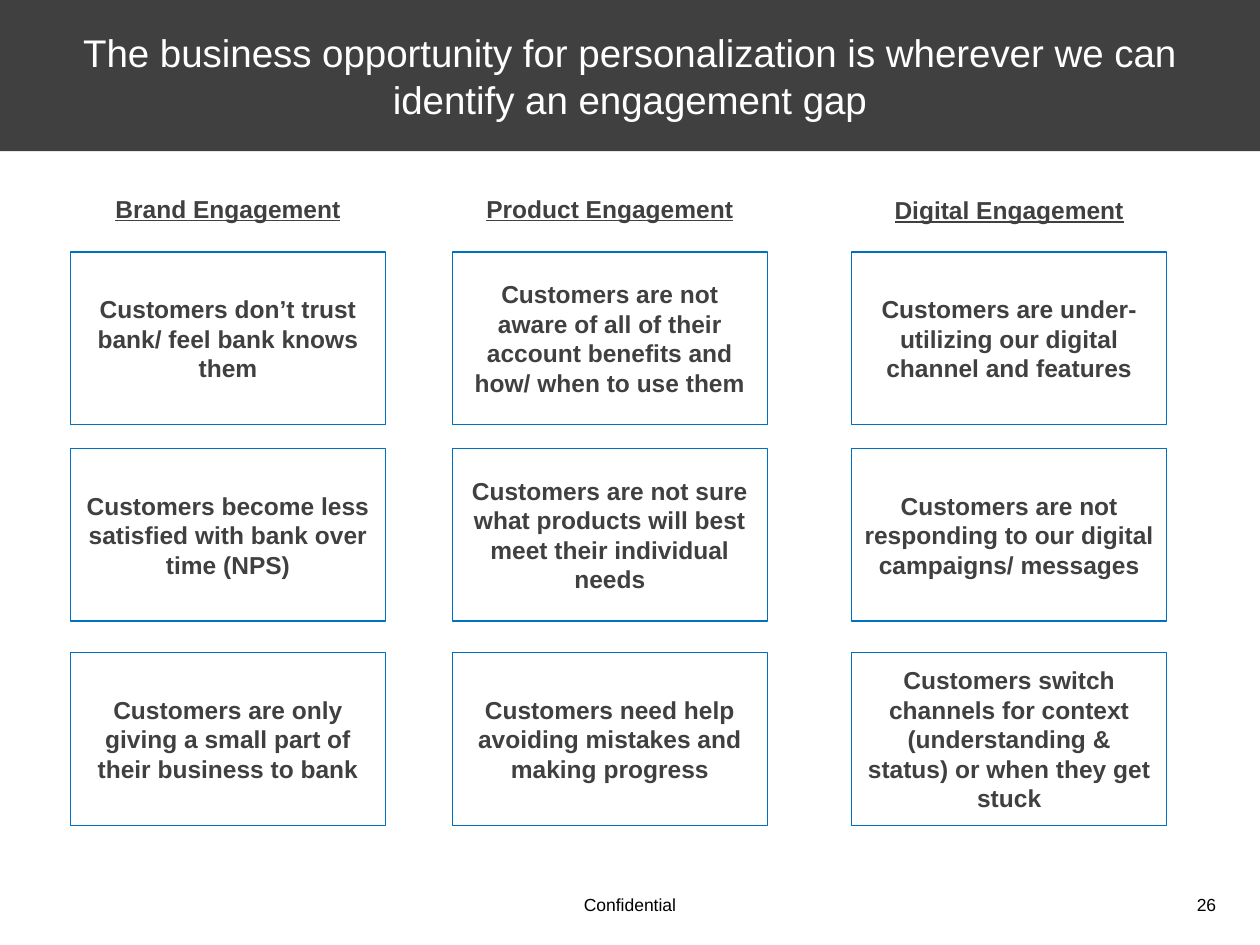
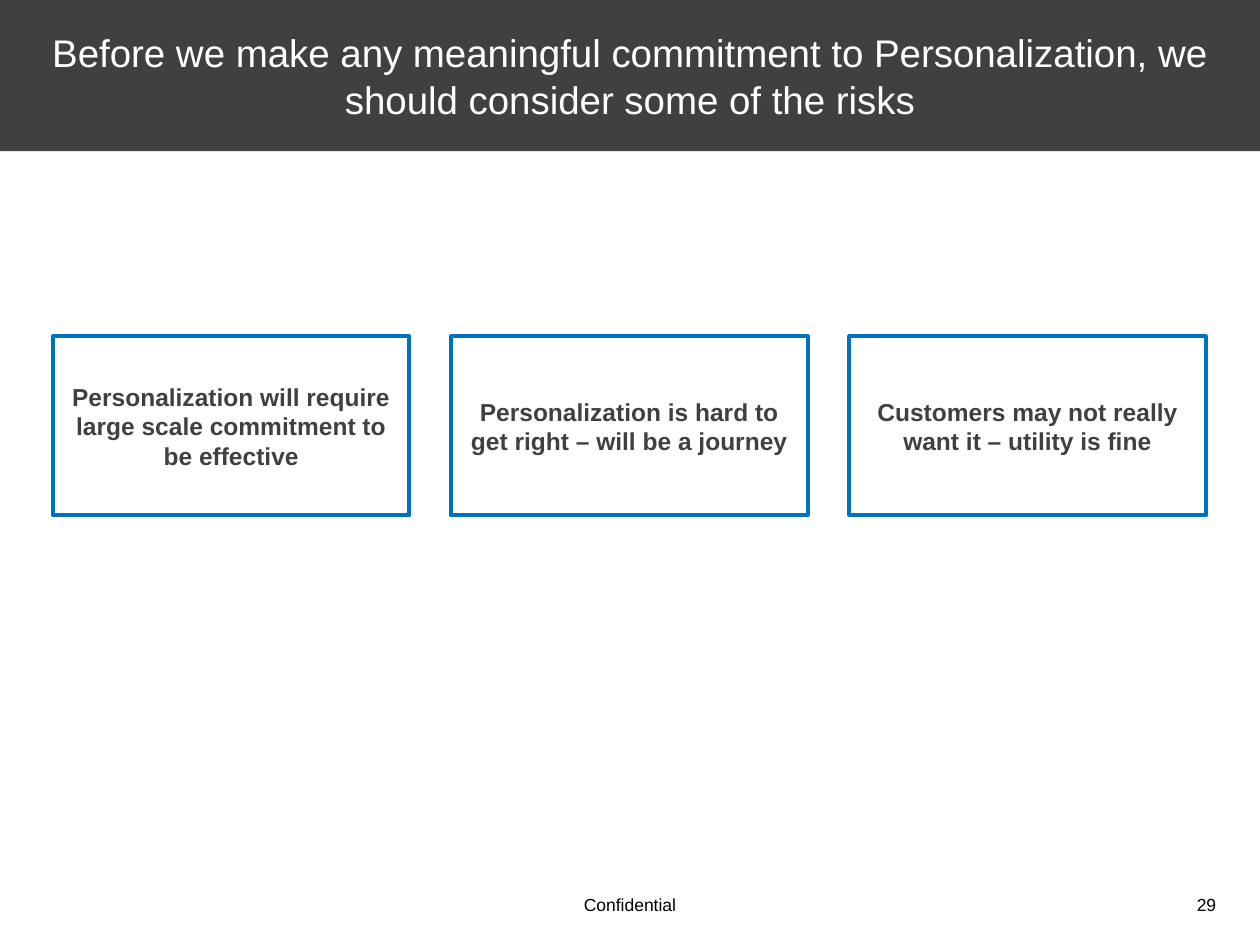
from pptx import Presentation
from pptx.dml.color import RGBColor
from pptx.enum.shapes import MSO_SHAPE
from pptx.enum.text import MSO_ANCHOR, PP_ALIGN
from pptx.util import Pt

PX = 9144
FONT = "Arial"
CHARCOAL = RGBColor(0x40, 0x40, 0x40)
BLUE = RGBColor(0x00, 0x70, 0xC0)
WHITE = RGBColor(0xFF, 0xFF, 0xFF)
BLACK = RGBColor(0x00, 0x00, 0x00)

RISK_WIDTH = 283
RISK_PITCH = 316

gap_columns = [
    (56, 144, "Brand Engagement", [
        "Customers don’t trust bank/ feel bank knows them",
        "Customers become less satisfied with bank over time (NPS)",
        "Customers are only giving a small part of their business to bank",
    ]),
    (359, 144, "Product Engagement", [
        "Customers are not aware of all of their account benefits and how/ when to use them",
        "Customers are not sure what products will best meet their individual needs",
        "Customers need help avoiding mistakes and making progress",
    ]),
    (676, 145, "Digital Engagement", [
        "Customers are under-utilizing our digital channel and features",
        "Customers are not responding to our digital campaigns/ messages",
        "Customers switch channels for context (understanding & status) or when they get stuck",
    ]),
]
gap_row_tops = [200, 356, 518]

risks = [
    "Personalization will require large scale commitment to be effective",
    "Personalization is hard to get right – will be a journey",
    "Customers may not really want it – utility is fine",
]

slide_heads = [
    ("The business opportunity for personalization is wherever we can identify an engagement gap", "26"),
    ("Before we make any meaningful commitment to Personalization, we should consider some of the risks", "29"),
]


def write_text(shape, text, size, color, alignment=PP_ALIGN.CENTER, bold=False):
    shape.text_frame.word_wrap = True
    paragraph = shape.text_frame.paragraphs[0]
    paragraph.alignment = alignment
    run = paragraph.add_run()
    run.text = text
    run.font.name = FONT
    run.font.size = Pt(size)
    run.font.bold = bold
    run.font.color.rgb = color
    return paragraph


def add_card(slide, left, top, width, height, text, line_width):
    card = slide.shapes.add_shape(
        MSO_SHAPE.RECTANGLE, left * PX, top * PX, width * PX, height * PX)
    card.shadow.inherit = False
    card.fill.background()
    card.line.color.rgb = BLUE
    card.line.width = Pt(line_width)
    card.text_frame.vertical_anchor = MSO_ANCHOR.MIDDLE
    write_text(card, text, 14, CHARCOAL, bold=True)


presentation = Presentation()
presentation.slide_width = 1000 * PX
presentation.slide_height = 750 * PX

slides = []
for title_text, page_number in slide_heads:
    slide = presentation.slides.add_slide(presentation.slide_layouts[5])
    title = slide.shapes.title
    title.left, title.top, title.width, title.height = 0, 0, 1000 * PX, 120 * PX
    title.fill.solid()
    title.fill.fore_color.rgb = CHARCOAL
    frame = title.text_frame
    frame.vertical_anchor = MSO_ANCHOR.MIDDLE
    frame.margin_left = frame.margin_right = 15 * PX
    frame.margin_top = frame.margin_bottom = 10 * PX
    write_text(title, title_text, 22, WHITE)

    for left, width, text, alignment in [
        (200, 600, "Confidential", PP_ALIGN.CENTER),
        (930, 45, page_number, PP_ALIGN.RIGHT),
    ]:
        footer = slide.shapes.add_textbox(left * PX, 705 * PX, width * PX, 27 * PX)
        write_text(footer, text, 10, BLACK, alignment)
    slides.append(slide)

gap_slide, risk_slide = slides

for left, heading_top, heading_text, gaps in gap_columns:
    heading = gap_slide.shapes.add_textbox(left * PX, heading_top * PX, 250 * PX, 38 * PX)
    paragraph = write_text(heading, heading_text, 14, CHARCOAL, bold=True)
    paragraph.line_spacing = 1.2
    paragraph.runs[0].font.underline = True
    for top, gap in zip(gap_row_tops, gaps):
        add_card(gap_slide, left, top, 250, 137, gap, 0.75)

for column, risk in enumerate(risks):
    add_card(risk_slide, 42 + column * RISK_PITCH, 267, RISK_WIDTH, 142, risk, 2.25)

presentation.save("out.pptx")
